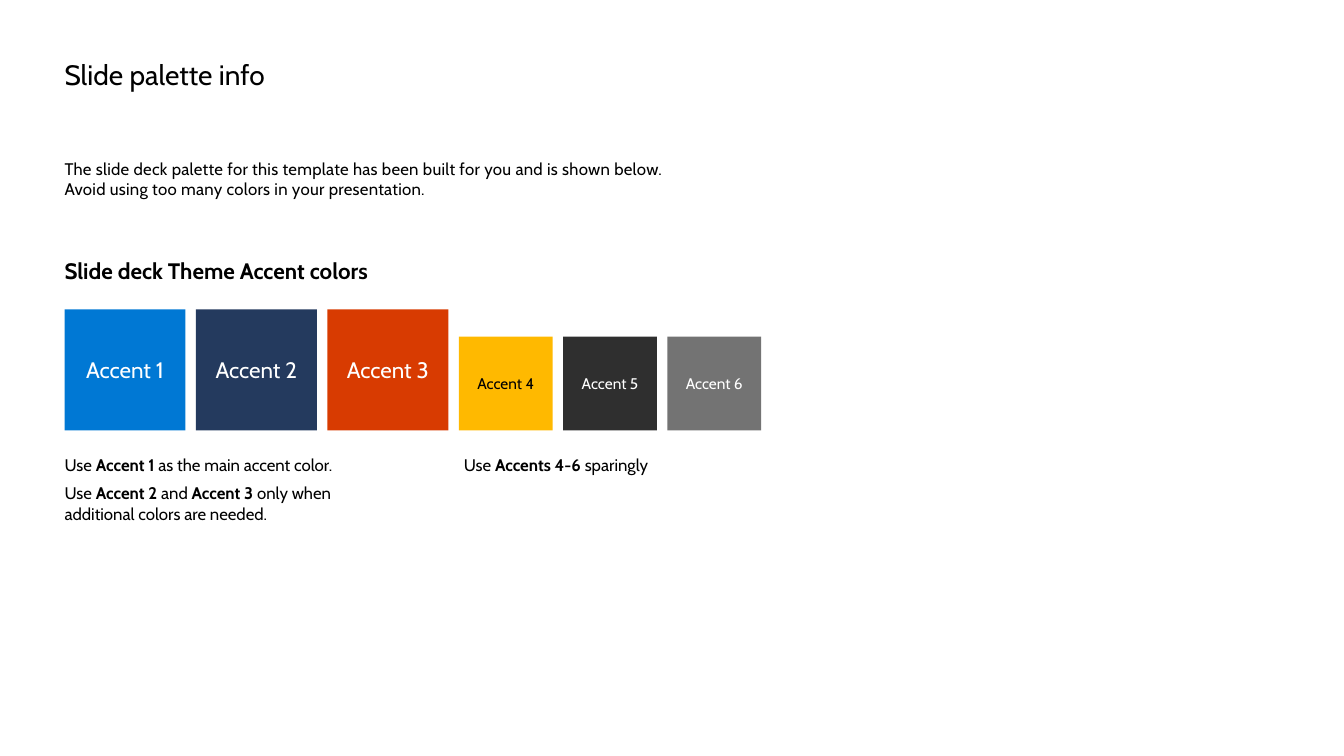
"""Build a slide that shows the theme accent palette and how to use it."""
from dataclasses import dataclass

from pptx import Presentation
from pptx.dml.color import RGBColor
from pptx.enum.shapes import MSO_SHAPE
from pptx.enum.text import MSO_ANCHOR, PP_ALIGN
from pptx.util import Inches, Pt


@dataclass(frozen=True)
class Theme:
    font: str = "Cabin"
    dark: str = "000000"
    light: str = "FFFFFF"
    title: int = 20
    heading: int = 16
    body: int = 12
    small: int = 11


THEME = Theme()
SLIDE_W, SLIDE_H = 13.33, 7.5
LEFT, RIGHT = 0.64, 7.55
SWATCH_BOTTOM, NOTES_TOP = 4.27, 4.51
LARGE, SMALL = 1.2, 0.93

TITLE = [[("Slide palette info", False)]]
INTRO = [
    [("The slide deck palette for this template has been built for you and is shown below.", False)],
    [("Avoid using too many colors in your presentation.", False)],
]
HEADING = [[("Slide deck Theme Accent colors", True)]]
MAIN_NOTE = [
    [("Use ", False), ("Accent 1 ", True), ("as the main accent color.", False)],
    [("Use ", False), ("Accent 2", True), (" and ", False), ("Accent 3", True),
     (" only when additional colors are needed.", False)],
]
SPARING_NOTE = [[("Use ", False), ("Accents 4-6 ", True), ("sparingly", False)]]

SWATCHES = [
    ("Accent 1", "0078D4", THEME.light, LARGE, THEME.heading),
    ("Accent 2", "243A5E", THEME.light, LARGE, THEME.heading),
    ("Accent 3", "D83B01", THEME.light, LARGE, THEME.heading),
    ("Accent 4", "FFB900", THEME.dark, SMALL, THEME.small),
    ("Accent 5", "2F2F2F", THEME.light, SMALL, THEME.small),
    ("Accent 6", "737373", THEME.light, SMALL, THEME.small),
]


def style(run, size, color, bold=False):
    """Apply the theme font to a run."""
    run.font.name = THEME.font
    run.font.size = Pt(size)
    run.font.bold = bold
    run.font.color.rgb = RGBColor.from_string(color)


def set_margins(frame, left=0, top=0, right=0, bottom=0):
    """Set the text insets in inches."""
    frame.margin_left, frame.margin_top = Inches(left), Inches(top)
    frame.margin_right, frame.margin_bottom = Inches(right), Inches(bottom)


def add_text(slide, place, paragraphs, size, gap=0, tracking=0, **margins):
    """Add a wrapped text box of paragraphs made of (text, bold) pieces."""
    frame = slide.shapes.add_textbox(*map(Inches, place)).text_frame
    frame.word_wrap = True
    set_margins(frame, **margins)
    for index, pieces in enumerate(paragraphs):
        paragraph = frame.add_paragraph() if index else frame.paragraphs[0]
        if index and gap:
            paragraph.space_before = Pt(gap)
        for text, bold in pieces:
            run = paragraph.add_run()
            run.text = text
            style(run, size, THEME.dark, bold)
            if tracking:
                run.font._element.set("spc", str(tracking))


def add_swatch(slide, left, label, fill, ink, side, size):
    """Add one labelled colour square standing on the common baseline."""
    swatch = slide.shapes.add_shape(
        MSO_SHAPE.RECTANGLE, *map(Inches, (left, SWATCH_BOTTOM - side, side, side)))
    swatch.shadow.inherit = False
    swatch.fill.solid()
    swatch.fill.fore_color.rgb = RGBColor.from_string(fill)
    swatch.line.fill.background()
    frame = swatch.text_frame
    frame.text = label
    frame.vertical_anchor = MSO_ANCHOR.MIDDLE
    set_margins(frame, top=0.05, bottom=0.05)
    frame.paragraphs[0].alignment = PP_ALIGN.CENTER
    style(frame.paragraphs[0].runs[0], size, ink)


def main():
    """Lay out the slide and save it."""
    deck = Presentation()
    deck.slide_width, deck.slide_height = Inches(SLIDE_W), Inches(SLIDE_H)
    slide = deck.slides.add_slide(deck.slide_layouts[6])

    add_text(slide, (LEFT, 0.5, 6.02, 0.41), TITLE, THEME.title, top=0.07)
    add_text(slide, (LEFT, 1.57, 10.89, 0.4), INTRO, THEME.body, tracking=20)
    add_text(slide, (LEFT, 2.55, 6.88, 0.27), HEADING, THEME.heading)
    add_text(slide, (LEFT, NOTES_TOP, 3.81, 0.69), MAIN_NOTE, THEME.body, gap=6, right=0.9)
    add_text(slide, (4.6, NOTES_TOP, 3.04, 0.2), SPARING_NOTE, THEME.body)

    sides = [side for _, _, _, side, _ in SWATCHES]
    gap = (RIGHT - LEFT - sum(sides)) / (len(sides) - 1)
    for index, swatch in enumerate(SWATCHES):
        add_swatch(slide, LEFT + sum(sides[:index]) + index * gap, *swatch)

    deck.save("out.pptx")


if __name__ == "__main__":
    main()
